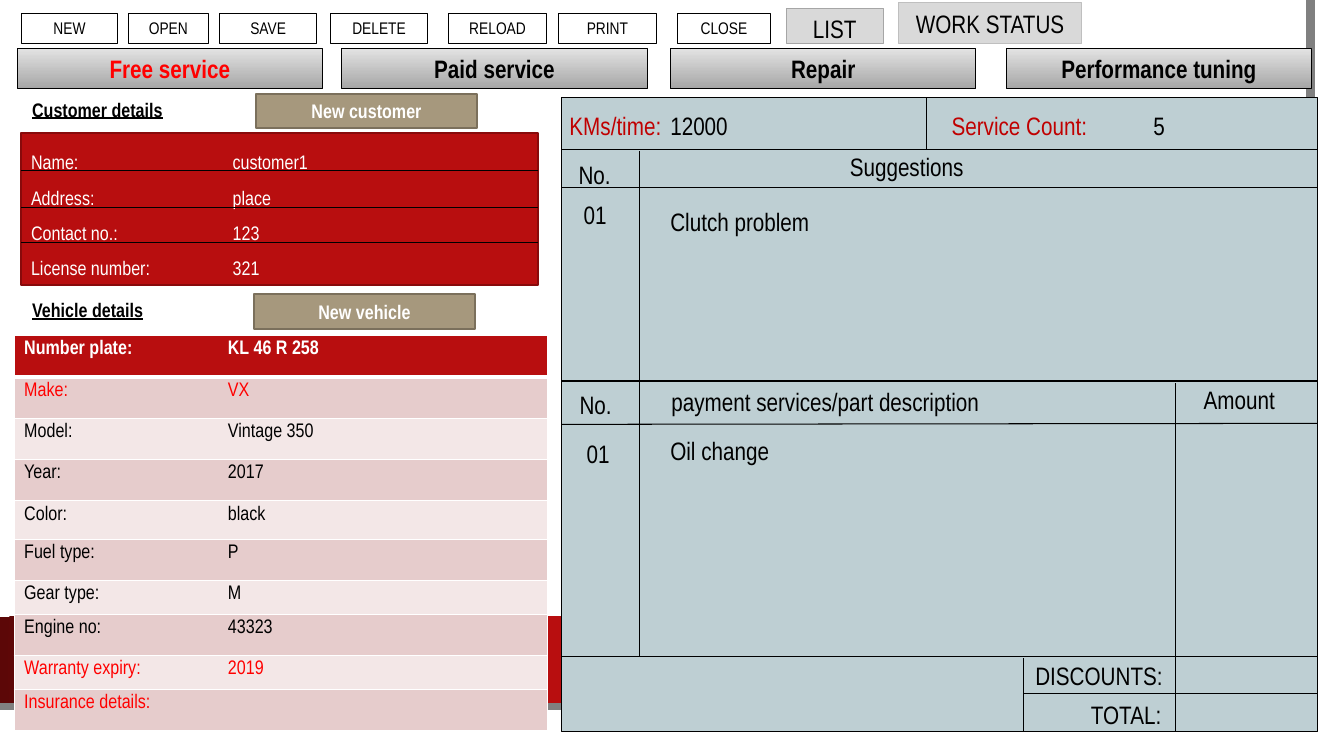
from dataclasses import dataclass
from lxml import etree
from pptx import Presentation, util as u
from pptx.dml import color as dml
from pptx.enum import shapes as sh, text as tx
from pptx.oxml import ns


@dataclass(frozen=True)
class Theme:
    """Colours, type sizes and font of the slide."""
    face: str = "Arial Narrow"
    small: int = 12
    body: int = 14
    large: int = 18
    black: str = "000000"
    white: str = "FFFFFF"
    red: str = "B80E0F"
    maroon: str = "5C0707"
    rim: str = "880A0B"
    alert: str = "FF0000"
    label: str = "C00000"
    rail: str = "808080"
    tan: str = "A6987D"
    umber: str = "7B705C"
    silver: str = "E3E3E3"
    steel: str = "A6A6A6"
    pale: str = "D9D9D9"
    mist: str = "BFBFBF"
    panel: str = "BECFD3"
    bands: tuple = ("F3E7E7", "E6CCCC")


T = Theme()


def rgb(code):
    """Turn a hex code into a colour."""
    return dml.RGBColor.from_string(code)


def add(parent, tag, **attrs):
    """Append a drawing element to a parent."""
    return etree.SubElement(parent, ns.qn(tag), attrs)


def stroke(item, hue, width=0.75):
    """Give an item a solid line."""
    item.line.color.rgb = rgb(hue)
    item.line.width = u.Pt(width)


def style(para, size, hue, bold=False, tab=None):
    """Format a paragraph, with a tab stop if asked."""
    if tab:
        stops = add(para._p.get_or_add_pPr(), "a:tabLst")
        add(stops, "a:tab", pos=str(u.Inches(tab)), algn="l")
    font = para.font
    font.name, font.size, font.bold = T.face, u.Pt(size), bold
    font.color.rgb = rgb(hue)


def blend(fill, stops):
    """Fill with a gradient that runs downward."""
    fill.gradient()
    fill.gradient_angle = 270
    for stop, (place, hue) in zip(fill.gradient_stops, stops):
        stop.position = place
        stop.color.rgb = rgb(hue)


def block(slide, box, fill=None, edge=None, width=0.75):
    """Draw a rectangle, plain or with no fill."""
    shape = slide.shapes.add_shape(sh.MSO_SHAPE.RECTANGLE, *map(u.Inches, box))
    shape.shadow.inherit = False
    if fill:
        shape.fill.solid()
        shape.fill.fore_color.rgb = rgb(fill)
    else:
        shape.fill.background()
    if edge:
        stroke(shape, edge, width)
    else:
        shape.line.fill.background()
    return shape


def button(slide, box, words, size, hue=T.black, bold=False, top=False, **look):
    """Draw a rectangle with a centred caption."""
    shape = block(slide, box, **look)
    frame = shape.text_frame
    frame.text = words
    frame.vertical_anchor = tx.MSO_ANCHOR.TOP if top else tx.MSO_ANCHOR.MIDDLE
    para = frame.paragraphs[0]
    para.alignment = tx.PP_ALIGN.CENTER
    style(para, size, hue, bold)
    return shape


def note(slide, box, words, size=T.large, bold=False, tab=None):
    """Place a text box and return its paragraph."""
    frame = slide.shapes.add_textbox(*map(u.Inches, box)).text_frame
    frame.word_wrap = True
    para = frame.paragraphs[0]
    para.text = words
    style(para, size, T.black, bold, tab)
    return para


def rule(slide, x1, y1, x2, y2):
    """Draw a thin black line."""
    line = slide.shapes.add_connector(sh.MSO_CONNECTOR.STRAIGHT, *map(u.Inches, (x1, y1, x2, y2)))
    stroke(line, T.black)
    add(line._element.spPr, "a:effectLst")


def backdrop(slide, wide, high):
    """Draw the grey rail and the red band behind the page."""
    pen = slide.shapes.build_freeform(wide, 0, scale=u.Inches(1))
    pen.add_line_segments([(wide, high), (0, high)], close=False)
    rail = pen.convert_to_shape()
    rail.shadow.inherit = False
    rail.fill.background()
    stroke(rail, T.rail, 6.5)
    band = block(slide, (0, high - 0.9, 12.8, 0.85))
    blend(band.fill, ((0.34, T.red), (1, T.maroon)))
    grad = band._element.spPr.find(ns.qn("a:gradFill"))
    grad.remove(grad.find(ns.qn("a:lin")))
    glow = add(grad, "a:path", path="circle")
    add(glow, "a:fillToRect", **dict.fromkeys("ltrb", "50000"))


def toolbar(slide, top):
    """Lay out the row of command buttons."""
    for words, left, wide in (("NEW", 0.21, 0.96), ("OPEN", 1.27, 0.8), ("SAVE", 2.18, 0.96),
                              ("DELETE", 3.28, 0.96), ("RELOAD", 4.45, 0.97),
                              ("PRINT", 5.54, 0.97), ("CLOSE", 6.72, 0.92)):
        button(slide, (left, top, wide, 0.3), words, T.small, edge=T.black)
    button(slide, (7.8, top - 0.05, 0.96, 0.35), "LIST", T.large, top=True, fill=T.pale, edge=T.steel)
    button(slide, (8.91, top - 0.1, 1.82, 0.4), "WORK STATUS", T.large, top=True,
           fill=T.pale, edge=T.mist)


def tabs(slide, top):
    """Lay out the service tabs, the first one chosen."""
    names = "Free service", "Paid service", "Repair", "Performance tuning"
    for i, (words, left) in enumerate(zip(names, (0.17, 3.39, 6.65, 9.98))):
        shape = button(slide, (left, top, 3.03, 0.4), words, T.large,
                       T.black if i else T.alert, True, edge=T.black)
        blend(shape.fill, ((0, T.silver), (1, T.steel)))


def heading(slide, left, top, words, action, shift):
    """Place a section heading and its button."""
    note(slide, (left, top, 2.2, 0.34), words, T.body, True).font.underline = True
    button(slide, (left + shift, top + 0.01, 2.19, 0.34), action, T.body, T.white, True,
           fill=T.tan, edge=T.umber, width=1.5)


def client(slide, left, top, wide, high):
    """Draw the customer card."""
    frame = block(slide, (left, top, wide, high), T.red, T.rim, 1.5).text_frame
    frame.text = "Name:\tcustomer1\nAddress:\tplace\nContact no.:\t123\nLicense number:\t321"
    for para in frame.paragraphs:
        para.alignment = tx.PP_ALIGN.LEFT
        para.line_spacing = 1.5
        style(para, T.body, T.white, tab=2)
    for drop in (0.37, 0.74, 1.09):
        rule(slide, left, top + drop, left + wide, top + drop)


def vehicle(slide, left, top, wide):
    """Draw the vehicle table."""
    rows = (("Number plate:\tKL 46 R 258", 0.41), ("Make:\tVX", 0.41),
            ("Model:\tVintage 350", 0.41), ("Year:\t2017", 0.41), ("Color:\tblack", 0.38),
            ("Fuel type:\tP", 0.41), ("Gear type:\tM", 0.33), ("Engine no:\t43323", 0.41),
            ("Warranty expiry:\t2019", 0.33), ("Insurance details:", 0.41))
    high = sum(tall for _, tall in rows)
    table = slide.shapes.add_table(len(rows), 1, *map(u.Inches, (left, top, wide, high))).table
    for i, (words, tall) in enumerate(rows):
        table.rows[i].height = u.Inches(tall)
        cell = table.cell(i, 0)
        cell.text = words
        for side in "LRTB":
            thick = 3 if (i, side) in ((0, "B"), (1, "T")) else 1
            edge = add(cell._tc.get_or_add_tcPr(), f"a:ln{side}", w=str(u.Pt(thick)))
            add(add(edge, "a:solidFill"), "a:srgbClr", val=T.white)
        cell.fill.solid()
        cell.fill.fore_color.rgb = rgb(T.bands[i % 2] if i else T.red)
        hue = T.white if i == 0 else T.alert if i in (1, 8, 9) else T.black
        style(cell.text_frame.paragraphs[0], T.body, hue, i == 0, 2.02)


def job(slide, left, top, wide, high):
    """Draw the service sheet with its rules and entries."""
    block(slide, (left, top, wide, high), T.panel, T.black)
    for x1, y1, x2, y2 in ((0, 0.51, wide, 0.51), (0, 0.89, wide, 0.89), (0, 2.81, wide, 2.81),
                           (0, 3.24, wide, 3.23), (0, 5.54, wide, 5.54), (4.58, 5.91, wide, 5.91),
                           (3.62, 0, 3.62, 0.51), (0.77, 0.53, 0.77, 5.54),
                           (6.09, 2.83, 6.09, high), (4.58, 5.56, 4.58, high)):
        rule(slide, left + x1, top + y1, left + x2, top + y2)
    for words, x, y, span in (("Suggestions", 2.76, 0.48, 1.62), ("No.", 0.07, 0.56, 0.65),
                              ("No.", 0.08, 2.84, 0.65), ("01", 0.12, 0.96, 0.49),
                              ("01", 0.15, 3.33, 0.49), ("Clutch problem", 0.98, 1.03, 2.75),
                              ("Oil change", 0.98, 3.3, 2.58), ("Amount", 6.27, 2.79, 1.03),
                              ("payment services/part description", 0.99, 2.81, 3.72),
                              ("DISCOUNTS:", 4.6, 5.53, 1.78), ("TOTAL:", 5.15, 5.92, 1.05)):
        note(slide, (left + x, top + y, span, 0.4), words)
    for words, count, x, tab in (("KMs/time:", "12000", -0.02, 1), ("Service Count:", "5", 3.77, 2)):
        para = note(slide, (left + x, top + 0.08, 2.8, 0.4), words, tab=tab)
        para.runs[0].font.color.rgb = rgb(T.label)
        para.add_run().text = "\t" + count


def main():
    """Build the service desk slide and save it."""
    deck = Presentation()
    deck.slide_width, deck.slide_height = u.Inches(13.33), u.Inches(7.5)
    slide = deck.slides.add_slide(deck.slide_layouts[6])
    backdrop(slide, 12.83, 7.02)
    toolbar(slide, 0.13)
    tabs(slide, 0.48)
    heading(slide, 0.22, 0.92, "Customer details", "New customer", 2.32)
    client(slide, 0.21, 1.32, 5.13, 1.51)
    heading(slide, 0.22, 2.91, "Vehicle details", "New vehicle", 2.3)
    vehicle(slide, 0.14, 3.33, 5.29)
    job(slide, 5.57, 0.97, 7.5, 6.29)
    deck.save("out.pptx")


if __name__ == "__main__":
    main()
